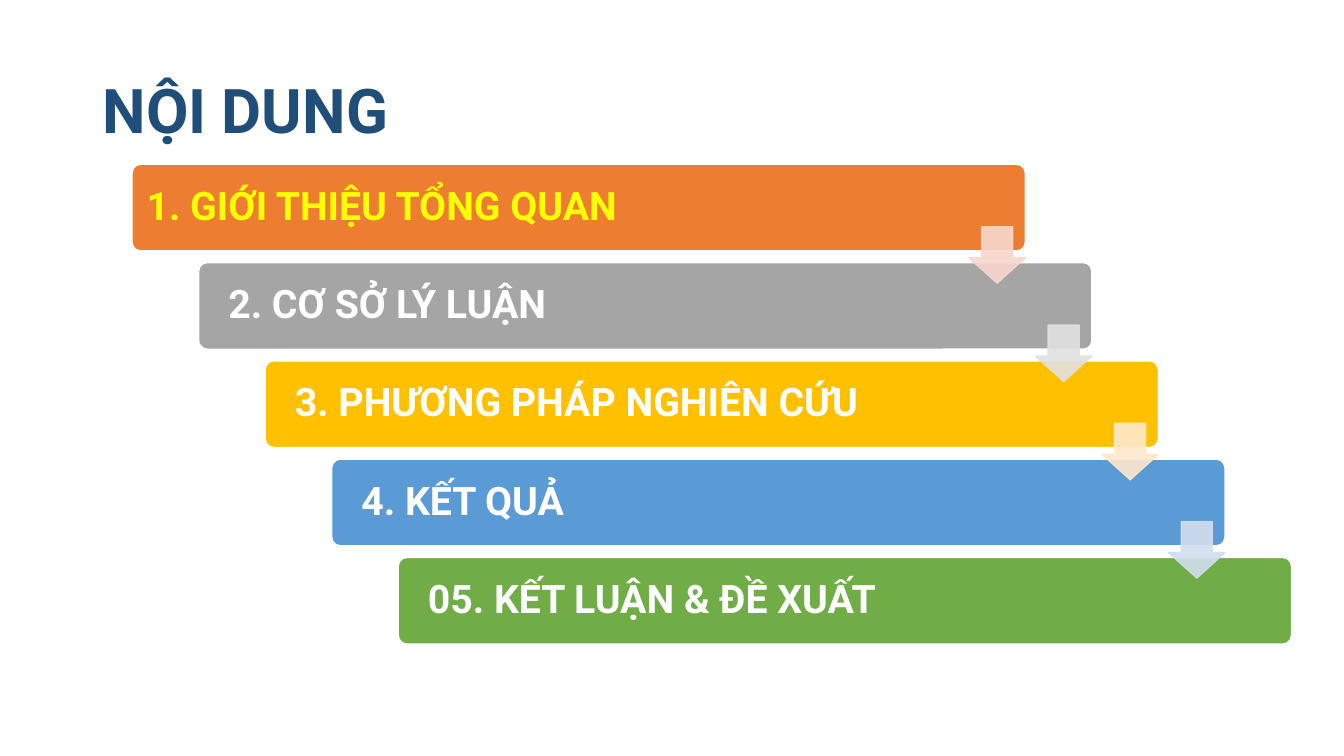
"""Build the contents slide: five staggered bars linked by down arrows."""
from lxml import etree
from pptx import Presentation
from pptx.dml.color import RGBColor
from pptx.enum.shapes import MSO_SHAPE
from pptx.enum.text import MSO_ANCHOR, PP_ALIGN
from pptx.oxml.ns import qn
from pptx.util import Inches, Pt

BAR, ARROW = MSO_SHAPE.ROUNDED_RECTANGLE, MSO_SHAPE.DOWN_ARROW
MIDDLE, LEFT = MSO_ANCHOR.MIDDLE, PP_ALIGN.LEFT

WHITE = RGBColor(0xFF, 0xFF, 0xFF)
YELLOW = RGBColor(0xFF, 0xFF, 0x00)
NAVY = RGBColor(0x1F, 0x4E, 0x79)
ORANGE = RGBColor(0xED, 0x7D, 0x31)
GRAY = RGBColor(0xA5, 0xA5, 0xA5)
GOLD = RGBColor(0xFF, 0xC0, 0x00)
BLUE = RGBColor(0x5B, 0x9B, 0xD5)
GREEN = RGBColor(0x70, 0xAD, 0x47)
PALE_ORANGE = RGBColor(0xF8, 0xD7, 0xCE)
PALE_GRAY = RGBColor(0xE1, 0xE1, 0xE1)
PALE_GOLD = RGBColor(0xFF, 0xE8, 0xCC)
PALE_BLUE = RGBColor(0xD2, 0xDE, 0xEF)

TITLE = "NỘI DUNG"
SECTIONS = [
    ("1. GIỚI THIỆU TỔNG QUAN", ORANGE, YELLOW, 0.12),
    ("2. CƠ SỞ LÝ LUẬN", GRAY, WHITE, 0.27),
    ("3. PHƯƠNG PHÁP NGHIÊN CỨU", GOLD, WHITE, 0.27),
    ("4. KẾT QUẢ", BLUE, WHITE, 0.27),
    ("05. KẾT LUẬN & ĐỀ XUẤT", GREEN, WHITE, 0.27),
]
ARROW_COLORS = [PALE_ORANGE, PALE_GRAY, PALE_GOLD, PALE_BLUE]
ARROW_ALPHA = 90

BAR_LEFT, BAR_TOP = 1.31, 1.63
BAR_WIDTH, BAR_HEIGHT = 8.86, 0.86
STEP_X, STEP_Y = 0.66, 3.9 / 4
ARROW_SIZE, ARROW_DROP = 0.56, 0.62


def write_text(shape, text, size, color, inset, vertical_inset):
    frame = shape.text_frame
    frame_format = {
        "word_wrap": True,
        "vertical_anchor": MIDDLE,
        "margin_left": Inches(inset),
        "margin_right": Inches(inset),
        "margin_top": Inches(vertical_inset),
        "margin_bottom": Inches(vertical_inset),
    }
    for name, value in frame_format.items():
        setattr(frame, name, value)
    paragraph = frame.paragraphs[0]
    paragraph.alignment = LEFT
    paragraph.line_spacing = 0.9
    run = paragraph.add_run()
    run.text = text
    font_format = {"name": "Roboto", "size": Pt(size), "bold": True}
    for name, value in font_format.items():
        setattr(run.font, name, value)
    run.font.color.rgb = color


def add_block(slide, preset, box, adjustments, fill, line):
    shape = slide.shapes.add_shape(preset, *map(Inches, box))
    for index, value in enumerate(adjustments):
        shape.adjustments[index] = value
    shape.shadow.inherit = False
    shape.fill.solid()
    shape.fill.fore_color.rgb = fill
    shape.line.color.rgb = line
    shape.line.width = Pt(1)
    return shape


def set_alpha(shape, percent):
    for color in shape.element.spPr.iter(qn("a:srgbClr")):
        etree.SubElement(color, qn("a:alpha"), val=str(percent * 1000))


def main():
    presentation = Presentation()
    presentation.slide_width = Inches(13.33)
    presentation.slide_height = Inches(7.5)
    slide = presentation.slides.add_slide(presentation.slide_layouts[6])

    title = slide.shapes.add_textbox(*map(Inches, (0.92, 0.4, 11.5, 1.45)))
    write_text(title, TITLE, 44, NAVY, 0.1, 0.05)

    for index, (text, fill, color, inset) in enumerate(SECTIONS):
        box = (BAR_LEFT + index * STEP_X, BAR_TOP + index * STEP_Y, BAR_WIDTH, BAR_HEIGHT)
        bar = add_block(slide, BAR, box, [0.1], fill, WHITE)
        write_text(bar, text, 28, color, inset, 0)

    arrow_left = BAR_LEFT + BAR_WIDTH - ARROW_SIZE
    arrow_top = BAR_TOP + ARROW_DROP
    for index, color in enumerate(ARROW_COLORS):
        box = (arrow_left + index * STEP_X, arrow_top + index * STEP_Y, ARROW_SIZE, ARROW_SIZE)
        arrow = add_block(slide, ARROW, box, [0.55, 0.45], color, color)
        set_alpha(arrow, ARROW_ALPHA)

    presentation.save("out.pptx")


if __name__ == "__main__":
    main()
